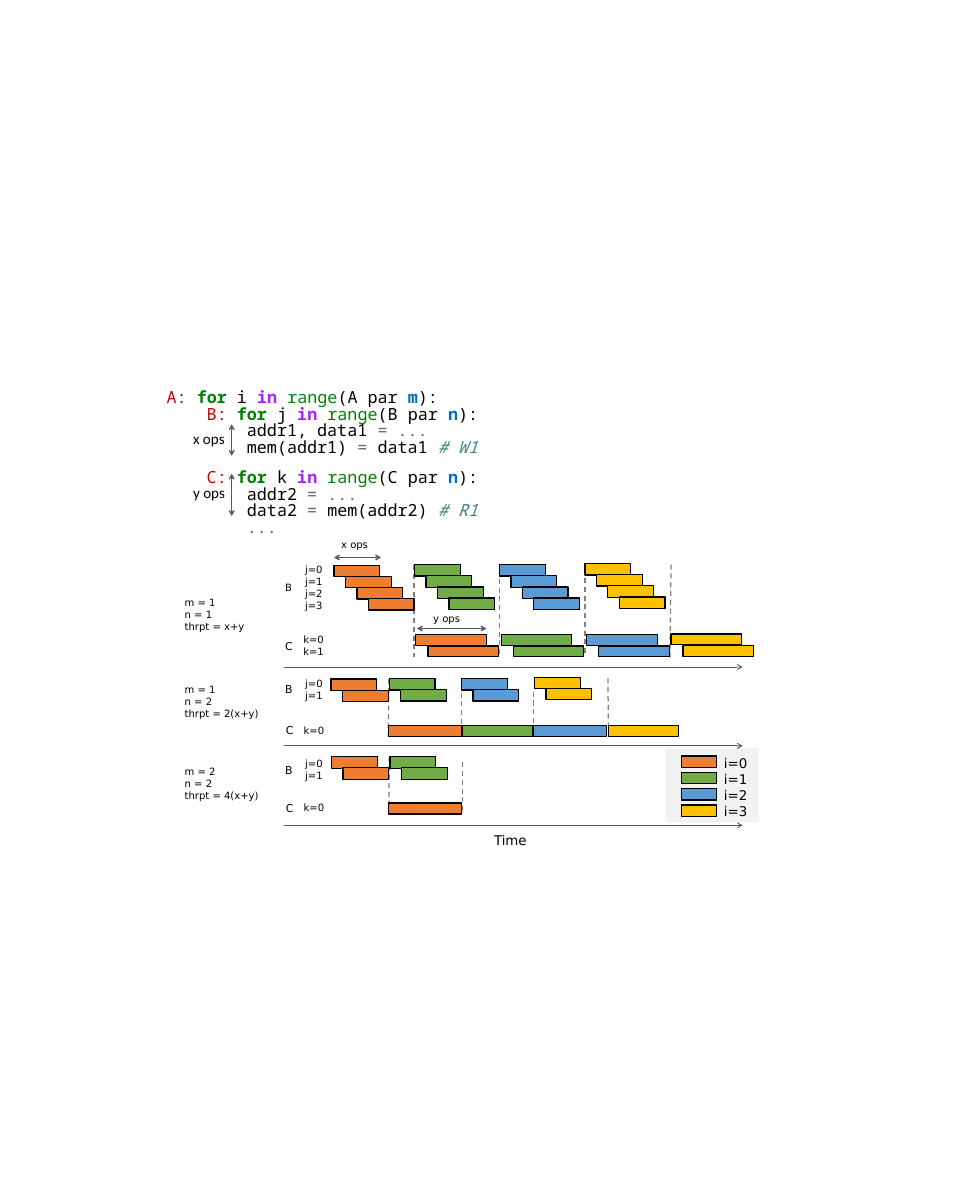
from lxml.etree import SubElement
from pptx import Presentation
from pptx.dml.color import RGBColor
from pptx.enum.dml import MSO_LINE
from pptx.enum.shapes import MSO_CONNECTOR as Connector, MSO_SHAPE as Shape
from pptx.enum.text import MSO_AUTO_SIZE as AutoSize, PP_ALIGN as Align
from pptx.oxml.ns import qn
from pptx.util import Inches, Pt

COLORS = {
    "label": "C00000", "keyword": "008000", "in": "AA22FF", "builtin": "008000",
    "plain": "000000", "factor": "0070C0", "operator": "666666", "comment": "408080",
    "arrow": "595959", "dash": "808080", "panel": "F2F2F2", "outline": "000000",
    "i=0": "ED7D31", "i=1": "70AD47", "i=2": "5B9BD5", "i=3": "FFC000",
}
ITERATIONS = ["i=0", "i=1", "i=2", "i=3"]
BOLD = {"keyword", "in", "factor"}
CODE_FONT, CALLOUT_FONT, CHART_FONT = "Noto Sans Mono", "Calibri", "DejaVu Sans"


def loop_header(label, variable, factor):
    return [(f"{label}: ", "label"), ("for", "keyword"), (f" {variable} ", "plain"),
            ("in ", "in"), ("range", "builtin"), (f"({label} par ", "plain"),
            (factor, "factor"), ("):", "plain")]


# indent in characters, space before in points, runs
CODE = [
    (0, 3, loop_header("A", "i", "m")),
    (4, 3, loop_header("B", "j", "n")),
    (8, 3, [("addr1, data1 ", "plain"), ("= ...", "operator")]),
    (8, 3, [("mem(addr1) ", "plain"), ("=", "operator"), (" data1 ", "plain"), ("# W1", "comment")]),
    (4, 19.4, loop_header("C", "k", "n")),
    (8, 3, [("addr2 ", "plain"), ("= ...", "operator")]),
    (8, 3, [("data2 ", "plain"), ("=", "operator"), (" mem(addr2) ", "plain"), ("# R1", "comment")]),
    (8, 3, [("...", "operator")]),
]
CODE_CHAR = 1 / 6

# left, top, width, size, font, alignment, lines
LABELS = [
    (3.11, 7.08, 0.82, 18, CALLOUT_FONT, Align.LEFT, ["x ops"]),
    (3.11, 7.99, 0.83, 18, CALLOUT_FONT, Align.LEFT, ["y ops"]),
    (8.11, 13.78, 0.95, 16, CHART_FONT, Align.LEFT, ["Time"]),
    (11.93, 12.5, 0.65, 16, CHART_FONT, Align.LEFT, ITERATIONS),
    (5.57, 8.9, 0.73, 12, CHART_FONT, Align.LEFT, ["x ops"]),
    (7.1, 10.13, 0.83, 12, CHART_FONT, Align.LEFT, ["y ops"]),
    (4.64, 9.61, 0.33, 12, CHART_FONT, Align.LEFT, ["B"]),
    (4.64, 10.57, 0.33, 13, CHART_FONT, Align.LEFT, ["C"]),
    (4.64, 11.29, 0.33, 13, CHART_FONT, Align.LEFT, ["B"]),
    (4.65, 11.97, 0.33, 13, CHART_FONT, Align.LEFT, ["C"]),
    (4.64, 12.63, 0.33, 13, CHART_FONT, Align.LEFT, ["B"]),
    (4.65, 13.27, 0.33, 13, CHART_FONT, Align.LEFT, ["C"]),
    (4.9, 9.31, 0.63, 12, CHART_FONT, Align.CENTER, ["j=0", "j=1", "j=2", "j=3"]),
    (4.93, 10.47, 0.56, 12, CHART_FONT, Align.CENTER, ["k=0", "k=1"]),
    (4.96, 11.2, 0.51, 12, CHART_FONT, Align.CENTER, ["j=0", "j=1"]),
    (4.91, 11.98, 0.61, 12, CHART_FONT, Align.CENTER, ["k=0"]),
    (4.96, 12.54, 0.51, 12, CHART_FONT, Align.CENTER, ["j=0", "j=1"]),
    (4.93, 13.27, 0.57, 12, CHART_FONT, Align.CENTER, ["k=0"]),
    (2.97, 9.86, 1.6, 12, CHART_FONT, Align.LEFT, ["m = 1", "n = 1", "thrpt = x+y"]),
    (2.97, 11.31, 1.6, 12, CHART_FONT, Align.LEFT, ["m = 1", "n = 2", "thrpt = 2(x+y)"]),
    (2.97, 12.66, 1.6, 12, CHART_FONT, Align.LEFT, ["m = 2", "n = 2", "thrpt = 4(x+y)"]),
]

# count, width, height, step right, step down, (left, top) per iteration
STAIRS = [
    (4, 0.76, 0.19, 0.19, 0.185, [(5.55, 9.39), (6.89, 9.38), (8.3, 9.38), (9.72, 9.36)]),
    (2, 1.17, 0.18, 0.2, 0.19, [(6.91, 10.54), (8.33, 10.54), (9.75, 10.54), (11.15, 10.53)]),
    (2, 0.76, 0.19, 0.19, 0.185, [(5.5, 11.28), (6.47, 11.27), (7.67, 11.27), (8.88, 11.25)]),
    (2, 0.76, 0.19, 0.19, 0.185, [(5.51, 12.57), (6.48, 12.57)]),
]
# iteration, left, top, width
SINGLE_BARS = [
    ("i=0", 6.45, 12.05, 1.22), ("i=1", 7.68, 12.05, 1.17),
    ("i=2", 8.86, 12.05, 1.22), ("i=3", 10.11, 12.05, 1.17),
    ("i=0", 6.45, 13.34, 1.22),
]
DEPENDENCIES = [
    (6.88, 9.39, 6.88, 10.91), (8.3, 9.47, 8.3, 10.91), (9.72, 9.6, 9.72, 10.91),
    (11.15, 9.38, 11.13, 10.95), (6.46, 11.28, 6.45, 12.23), (7.67, 11.36, 7.67, 12.23),
    (8.86, 11.49, 8.86, 12.14), (10.1, 11.27, 10.11, 12.14),
    (6.47, 12.57, 6.46, 13.52), (7.68, 12.66, 7.68, 13.52),
]
SPANS = [
    (3.85, 7.05, 3.85, 7.57), (3.85, 7.87, 3.85, 8.57),
    (5.55, 9.26, 6.33, 9.26), (6.93, 10.44, 8.08, 10.44),
]
TIME_AXES = [11.08, 12.39, 13.71]


def color(name):
    return RGBColor.from_string(COLORS[name])


def add_bar(shapes, fill, left, top, width, height, outlined=True):
    bar = shapes.add_shape(Shape.RECTANGLE, *map(Inches, (left, top, width, height)))
    bar.shadow.inherit = False
    bar.fill.solid()
    bar.fill.fore_color.rgb = color(fill)
    if outlined:
        bar.line.color.rgb = color("outline")
        bar.line.width = Pt(1.5)
    else:
        bar.line.fill.background()


def add_line(shapes, ends, stroke, weight, arrows=(), dashed=False):
    connector = shapes.add_connector(Connector.STRAIGHT, *map(Inches, ends))
    connector.line.color.rgb = color(stroke)
    connector.line.width = Pt(weight)
    if dashed:
        connector.line.dash_style = MSO_LINE.DASH
    properties = connector.element.spPr
    for end in arrows:
        SubElement(properties.find(qn("a:ln")), qn(f"a:{end}"), type="arrow")
    SubElement(properties, qn("a:effectLst"))


def add_label(shapes, left, top, width, size, font, alignment, lines):
    height = 0.1 + len(lines) * size * 1.2 / 72
    frame = shapes.add_textbox(*map(Inches, (left, top, width, height))).text_frame
    frame.word_wrap = True
    frame.auto_size = AutoSize.SHAPE_TO_FIT_TEXT
    frame.text = "\n".join(lines)
    for paragraph in frame.paragraphs:
        paragraph.alignment = alignment
        paragraph.font.size = Pt(size)
        paragraph.font.name = font
        paragraph.font.color.rgb = color("plain")


def add_code(shapes):
    frame = shapes.add_textbox(*map(Inches, (2.67, 6.47, 5.71, 2.55))).text_frame
    frame.word_wrap = True
    for number, (indent, space, runs) in enumerate(CODE):
        paragraph = frame.add_paragraph() if number else frame.paragraphs[0]
        paragraph.line_spacing = 0.7
        paragraph.space_before = Pt(space)
        paragraph.font.size = Pt(20)
        paragraph.font.name = CODE_FONT
        properties = paragraph._p.get_or_add_pPr()
        properties.set("marL", str(Inches(indent * CODE_CHAR)))
        properties.set("indent", "0")
        for text, role in runs:
            run = paragraph.add_run()
            run.text = text
            run.font.color.rgb = color(role)
            run.font.bold = role in BOLD
            run.font.italic = role == "comment"


def main():
    deck = Presentation()
    deck.slide_width, deck.slide_height = Inches(16), Inches(20)
    shapes = deck.slides.add_slide(deck.slide_layouts[6]).shapes

    add_code(shapes)
    add_bar(shapes, "panel", 11.06, 12.43, 1.54, 1.23, outlined=False)
    for row, iteration in enumerate(ITERATIONS):
        add_bar(shapes, iteration, 11.32, 12.56 + row * 0.27, 0.59, 0.19)
    for ends in DEPENDENCIES:
        add_line(shapes, ends, "dash", 1.5, dashed=True)
    for count, width, height, right, down, starts in STAIRS:
        for iteration, (left, top) in zip(ITERATIONS, starts):
            stair = shapes.add_group_shape().shapes
            for step in range(count):
                add_bar(stair, iteration, left + step * right, top + step * down, width, height)
    for iteration, left, top, width in SINGLE_BARS:
        add_bar(shapes, iteration, left, top, width, 0.18)
    for ends in SPANS:
        add_line(shapes, ends, "arrow", 1.5, ("headEnd", "tailEnd"))
    for y in TIME_AXES:
        add_line(shapes, (4.72, y, 12.34, y), "arrow", 1, ("tailEnd",))
    for label in LABELS:
        add_label(shapes, *label)
    deck.save("out.pptx")


if __name__ == "__main__":
    main()
